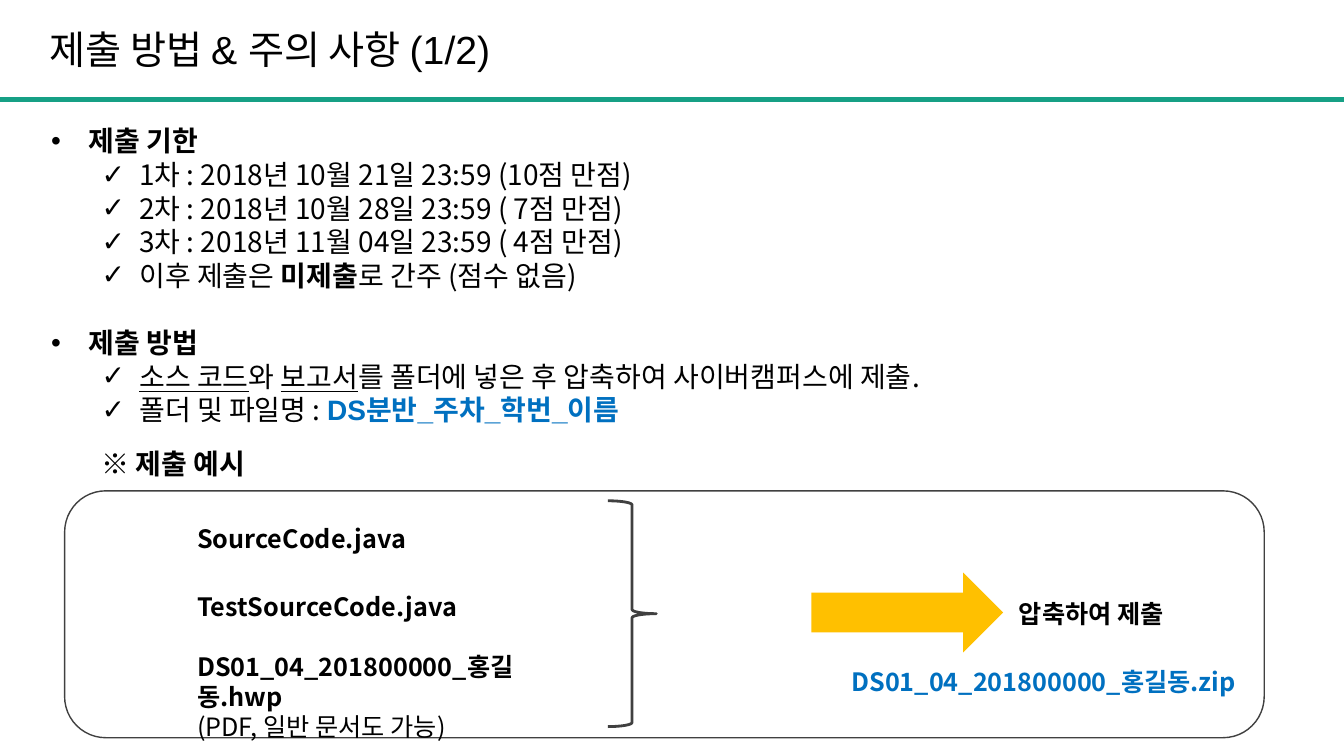
from lxml.etree import SubElement
from pptx import Presentation
from pptx.dml.color import RGBColor
from pptx.enum.shapes import MSO_CONNECTOR as Connector, MSO_SHAPE as Shape
from pptx.enum.text import PP_ALIGN as Align
from pptx.oxml.ns import qn
from pptx.util import Cm, Pt

COLORS = {"text": "000000", "accent": "0070C0", "outline": "404040",
          "arrow": "FFC000", "rule": "16A085"}
KOREAN = "Noto Sans CJK KR"
LATIN = "Arial"

prs = Presentation()
prs.slide_width, prs.slide_height = Cm(33.87), Cm(19.05)
slide = prs.slides.add_slide(prs.slide_layouts[6])
shapes = slide.shapes


def add_run(paragraph, text, color="text", **formats):
    """Add a run, with the Korean font for its East Asian letters."""
    run = paragraph.add_run()
    run.text = text
    for key, value in {"name": KOREAN, **formats}.items():
        setattr(run.font, key, value)
    run.font.color.rgb = RGBColor.from_string(COLORS[color])
    latin = run.font._element.find(qn("a:latin"))
    ea = latin.makeelement(qn("a:ea"), {"typeface": KOREAN})
    latin.addnext(ea)


def add_text_frame(left, top, width, height):
    frame = shapes.add_textbox(Cm(left), Cm(top), Cm(width), Cm(height)).text_frame
    frame.word_wrap = True
    return frame


# Submission rules: bullet, left margin, hanging indent, space before, runs
plain, bold, underlined = {"bold": False}, {"bold": True}, {"underline": True}
heading, item = ("•", 0.95, -0.95), ("✓", 2.22, -0.95)
rules = [
    (heading, 0, [("제출 기한", bold)]),
    (item, 0, [("1차 : 2018년 10월 21일 23:59 (10점 만점)", plain)]),
    (item, 0, [("2차 : 2018년 10월 28일 23:59 ( 7점 만점)", plain)]),
    (item, 0, [("3차 : 2018년 11월 04일 23:59 ( 4점 만점)", plain)]),
    (item, 0, [("이후 제출은 ", plain), ("미제출", bold), ("로 간주 (점수 없음)", plain)]),
    (heading, 24, [("제출 방법", bold)]),
    (item, 0, [("소스 코드", underlined), ("와 ", plain), ("보고서", underlined),
               ("를 폴더에 넣은 후 압축하여 사이버캠퍼스에 제출.", plain)]),
    (item, 0, [("폴더 및 파일명 : ", plain),
               ("DS분반_주차_학번_이름", {"bold": True, "name": LATIN, "color": "accent"})]),
    ((None, 1.27, 0), 14.5, [("※ 제출 예시", bold)]),
]
rules_frame = add_text_frame(1.04, 3.0, 30.78, 9.65)
for index, ((bullet, margin, indent), gap, runs) in enumerate(rules):
    rule = rules_frame.add_paragraph() if index else rules_frame.paragraphs[0]
    rule.level = 0 if bullet == "•" else 1
    if gap:
        rule.space_before = Pt(gap)
    properties = rule._p.get_or_add_pPr()
    properties.set("marL", str(Cm(margin)))
    properties.set("indent", str(Cm(indent)))
    if bullet:
        SubElement(properties, qn("a:buFont"), typeface=LATIN)
        SubElement(properties, qn("a:buChar"), char=bullet)
    for text, formats in runs:
        add_run(rule, text, size=Pt(20), **formats)

# Submission example
for kind, box, fill, line_width in [
    (Shape.RIGHT_BRACE, (15.32, 12.62, 1.22, 5.69), None, 2),
    (Shape.RIGHT_ARROW, (20.45, 14.43, 4.83, 2.01), "arrow", None),
    (Shape.ROUNDED_RECTANGLE, (1.63, 12.37, 30.23, 6.22), None, 1),
]:
    part = shapes.add_shape(kind, *map(Cm, box))
    part.shadow.inherit = False
    if fill:
        part.fill.solid()
        part.fill.fore_color.rgb = RGBColor.from_string(COLORS[fill])
    else:
        part.fill.background()
    if line_width:
        part.line.width = Pt(line_width)
        part.line.color.rgb = RGBColor.from_string(COLORS["outline"])
    else:
        part.line.fill.background()

for box, align, color, label, note in [
    ((4.72, 13.06, 7.49, 1.02), Align.LEFT, "text", "SourceCode.java", None),
    ((4.72, 14.78, 8.94, 1.02), Align.LEFT, "text", "TestSourceCode.java", None),
    ((4.72, 16.28, 10.49, 1.8), Align.LEFT, "text",
     "DS01_04_201800000_홍길동.hwp", "(PDF, 일반 문서도 가능)"),
    ((25.43, 14.96, 4.55, 1.02), Align.LEFT, "text", "압축하여 제출", None),
    ((20.93, 16.66, 10.74, 1.02), Align.CENTER, "accent",
     "DS01_04_201800000_홍길동.zip", None),
]:
    example = add_text_frame(*box)
    example.paragraphs[0].alignment = align
    add_run(example.paragraphs[0], label, color, size=Pt(18), bold=True)
    if note:
        add_run(example.add_paragraph(), note, size=Pt(18))

# Title and the rule below it
title_rule = shapes.add_connector(Connector.STRAIGHT, 0, Cm(2.51), prs.slide_width, Cm(2.51))
title_rule.line.width = Pt(3)
title_rule.line.color.rgb = RGBColor.from_string(COLORS["rule"])
SubElement(title_rule._element.spPr, qn("a:effectLst"))

title = add_text_frame(0, 0.51, 25.78, 1.45).paragraphs[0]
title._p.get_or_add_pPr().set("indent", str(Cm(1)))
add_run(title, "제출 방법 & 주의 사항 (1/2)", size=Pt(28), name=LATIN)

prs.save("out.pptx")
